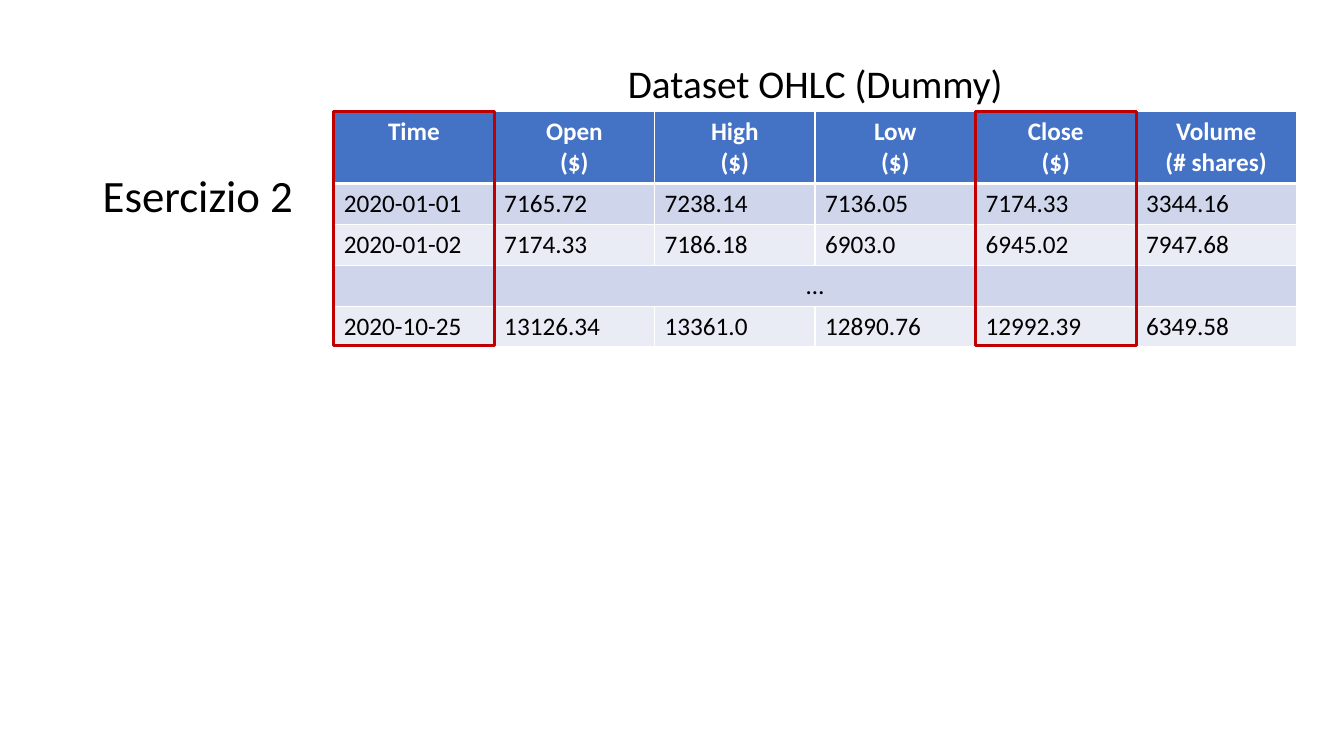
from lxml.etree import SubElement
from pptx import Presentation
from pptx.dml.color import RGBColor
from pptx.enum.shapes import MSO_SHAPE as Shape
from pptx.enum.text import MSO_ANCHOR as Anchor, PP_ALIGN as Align
from pptx.oxml.ns import qn
from pptx.util import Inches, Pt

FONT = "Calibri"
BLACK, WHITE, RED = "000000", "FFFFFF", "C00000"
HEADER_FILL, BAND_FILLS = "4472C4", ("CFD5EA", "E9EBF5")

TABLE_LEFT, TABLE_TOP, TABLE_WIDTH, TABLE_HEIGHT = 3.31, 1.11, 9.55, 2.32
HEADER_HEIGHT = 0.7

HEADINGS = ["Time", "Open\n($)", "High\n($)", "Low\n($)", "Close\n($)", "Volume\n(# shares)"]
PRICES = [
    ["2020-01-01", "7165.72", "7238.14", "7136.05", "7174.33", "3344.16"],
    ["2020-01-02", "7174.33", "7186.18", "6903.0", "6945.02", "7947.68"],
    ["…"],
    ["2020-10-25", "13126.34", "13361.0", "12890.76", "12992.39", "6349.58"],
]
COLUMN_WIDTH = TABLE_WIDTH / len(HEADINGS)


def color(value):
    return RGBColor.from_string(value)


class SlideBuilder:
    """Draws styled text, tables and outlines on one slide."""

    def __init__(self, slide):
        self.shapes = slide.shapes

    def style(self, paragraph, size, ink=BLACK, bold=False, align=Align.LEFT):
        font = paragraph.font
        font.name, font.size, font.bold = FONT, Pt(size), bold
        font.color.rgb = color(ink)
        paragraph.alignment = align

    def text(self, words, left, top, width, height, size, align=Align.LEFT):
        frame = self.shapes.add_textbox(*map(Inches, (left, top, width, height))).text_frame
        frame.word_wrap = True
        frame.vertical_anchor = Anchor.BOTTOM
        paragraph = frame.paragraphs[0]
        paragraph.text = words
        paragraph.line_spacing = 0.9
        self.style(paragraph, size, align=align)

    def borders(self, cell, bottom):
        properties = cell._tc.get_or_add_tcPr()
        for side, points in (("L", 1), ("R", 1), ("T", 1), ("B", bottom)):
            line = SubElement(properties, qn(f"a:ln{side}"), w=str(Pt(points)))
            paint = SubElement(line, qn("a:solidFill"))
            SubElement(paint, qn("a:srgbClr"), val=WHITE)

    def table(self, rows, left, top, width, height, header_height):
        columns = len(rows[0])
        grid = self.shapes.add_table(
            len(rows), columns, *map(Inches, (left, top, width, height))
        ).table
        for column in grid.columns:
            column.width = Inches(width / columns)
        for index, values in enumerate(rows):
            header = index == 0
            merged = len(values) == 1
            body_height = (height - header_height) / (len(rows) - 1)
            grid.rows[index].height = Inches(header_height if header else body_height)
            for cell in grid.rows[index].cells:
                self.borders(cell, 3 if header else 1)
                cell.fill.solid()
                cell.fill.fore_color.rgb = color(HEADER_FILL if header else BAND_FILLS[(index - 1) % 2])
            if merged:
                grid.cell(index, 0).merge(grid.cell(index, columns - 1))
            for position, value in enumerate(values):
                frame = grid.cell(index, position).text_frame
                frame.text = value
                for paragraph in frame.paragraphs:
                    self.style(
                        paragraph, 18, WHITE if header else BLACK, header,
                        Align.CENTER if header or merged else Align.LEFT,
                    )

    def outline(self, left, top, width, height):
        frame = self.shapes.add_shape(Shape.RECTANGLE, *map(Inches, (left, top, width, height)))
        frame.shadow.inherit = False
        frame.fill.background()
        frame.line.color.rgb = color(RED)
        frame.line.width = Pt(2.25)


def main():
    deck = Presentation()
    deck.slide_width, deck.slide_height = Inches(13.33), Inches(7.5)
    builder = SlideBuilder(deck.slides.add_slide(deck.slide_layouts[6]))

    builder.table(
        [HEADINGS] + PRICES, TABLE_LEFT, TABLE_TOP, TABLE_WIDTH, TABLE_HEIGHT, HEADER_HEIGHT
    )
    builder.text("Esercizio 2", 0.92, 0.5, 4.3, 1.75, 32)
    builder.text("Dataset OHLC (Dummy)", TABLE_LEFT, 0.26, TABLE_WIDTH, 0.85, 28, Align.CENTER)
    for heading in ("Time", "Close\n($)"):
        left = TABLE_LEFT + HEADINGS.index(heading) * COLUMN_WIDTH
        builder.outline(left, TABLE_TOP, COLUMN_WIDTH, TABLE_HEIGHT)

    deck.save("out.pptx")


if __name__ == "__main__":
    main()
